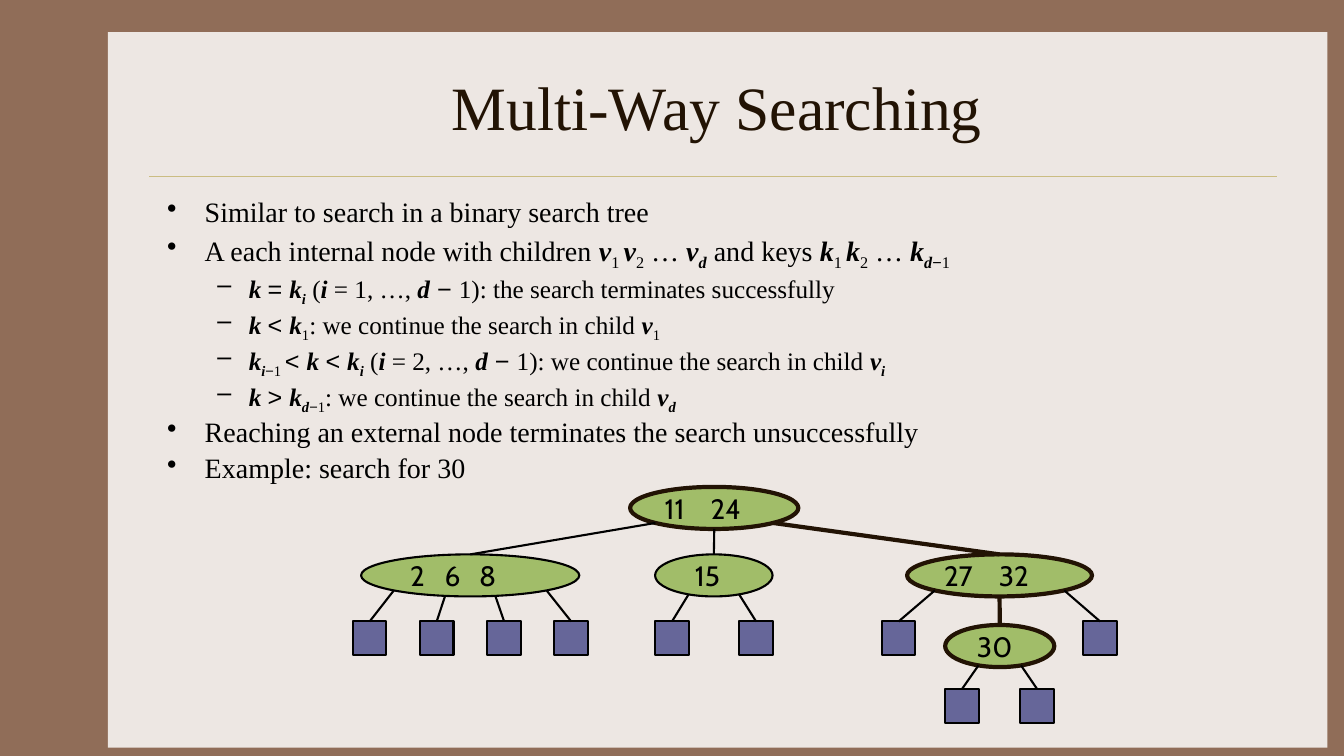
"""Build the slide on searching in a multi-way search tree."""
from math import sqrt

from lxml.etree import SubElement
from pptx import Presentation
from pptx.dml.color import RGBColor
from pptx.enum.shapes import MSO_CONNECTOR, MSO_SHAPE
from pptx.enum.text import MSO_ANCHOR, PP_ALIGN
from pptx.oxml.ns import qn
from pptx.util import Cm, Pt

BROWN = RGBColor(0x90, 0x6D, 0x58)
PAPER = RGBColor(0xED, 0xE7, 0xE3)
GOLD = RGBColor(0xCB, 0xBD, 0x83)
DARK = RGBColor(0x22, 0x13, 0x04)
BLACK = RGBColor(0, 0, 0)
GREEN = RGBColor(0xA1, 0xBD, 0x69)
VIOLET = RGBColor(0x66, 0x66, 0x99)
SERIF, SANS, NODE_FONT = "Times New Roman", "Arial", "Cabin"

TITLE = "Multi-Way Searching"

# Each span is (text, marks): v = bold italic variable, s = subscript, a = Arial.
BULLETS = [
    (0, [("Similar to search in a binary search tree", "")]),
    (0, [("A each internal node with children ", ""), ("v", "v"), ("1 ", "s"), ("v", "v"),
         ("2", "s"), (" … ", ""), ("v", "v"), ("d", "vs"), (" and keys ", ""), ("k", "v"),
         ("1 ", "s"), ("k", "v"), ("2", "s"), (" … ", ""), ("k", "v"), ("d", "vs"),
         ("−", "sa"), ("1", "s")]),
    (1, [("k ", "v"), ("= ", "a"), ("k", "v"), ("i", "vs"), (" (", ""), ("i", "v"),
         (" = 1, …, ", ""), ("d", "v"), (" − ", "a"),
         ("1): the search terminates successfully", "")]),
    (1, [("k ", "v"), ("< ", "a"), ("k", "v"), ("1", "s"),
         (": we continue the search in child ", ""), ("v", "v"), ("1", "s")]),
    (1, [("k", "v"), ("i", "vs"), ("−", "sa"), ("1 ", "s"), ("< ", "a"), ("k ", "v"),
         ("< ", "a"), ("k", "v"), ("i", "vs"), (" (", ""), ("i", "v"), (" = 2, …, ", ""),
         ("d", "v"), (" − ", "a"), ("1): we continue the search in child ", ""),
         ("v", "v"), ("i", "vs")]),
    (1, [("k ", "v"), ("> ", "a"), ("k", "v"), ("d", "vs"), ("−", "sa"), ("1", "s"),
         (": we continue the search in child ", ""), ("v", "v"), ("d", "vs")]),
    (0, [("Reaching an external node terminates the search unsuccessfully", "")]),
    (0, [("Example: search for 30", "")]),
]
LEVELS = [
    {"bullet": "•", "size": 20, "left": 0.95, "hang": 0.95},
    {"bullet": "–", "size": 18, "left": 2.06, "hang": 0.79},
]

NODE_HEIGHT, LEAF_SIZE = 1.06, 0.85
NODES = {
    "root": {"keys": ["11", "24"], "at": (15.88, 12.27), "width": 4.24,
             "inset": 0.25, "pitch": 1.16, "visited": True},
    "left": {"keys": ["2", "6", "8"], "at": (9.1, 13.97), "width": 5.5,
             "inset": 0.43, "pitch": 0.87, "visited": False},
    "middle": {"keys": ["15"], "at": (16.51, 13.97), "width": 2.96,
               "inset": 0.57, "pitch": 1, "visited": False},
    "right": {"keys": ["27", "32"], "at": (22.86, 13.97), "width": 4.66,
              "inset": 0.25, "pitch": 1.38, "visited": True},
    "found": {"keys": ["30"], "at": (23.82, 15.75), "width": 2.75,
              "inset": 0.4, "pitch": 1, "visited": True},
}
BRANCHES = [("root", "left", -0.7), ("root", "middle", 0), ("root", "right", 0.7),
            ("right", "found", 0)]
LEAVES = [
    ("left", 15.66, [(8.89, -0.7), (10.58, -0.23), (12.28, 0.23), (13.97, 0.7)]),
    ("middle", 15.66, [(16.51, -0.43), (18.63, 0.43)]),
    ("right", 15.66, [(22.22, -0.7), (27.3, 0.7)]),
    ("found", 17.36, [(23.82, -0.39), (25.71, 0.39)]),
]


def add_span(para, text, font, size, color):
    span = para.add_run()
    span.text = text
    span.font.name, span.font.size = font, Pt(size)
    span.font.color.rgb = color
    return span


def add_frame(page, left, top, width, height):
    frame = page.shapes.add_textbox(Cm(left), Cm(top), Cm(width), Cm(height)).text_frame
    frame.word_wrap = True
    return frame


def add_box(page, kind, left, top, width, height, fill, line=None, weight=0):
    box = page.shapes.add_shape(kind, Cm(left), Cm(top), Cm(width), Cm(height))
    box.shadow.inherit = False
    box.fill.solid()
    box.fill.fore_color.rgb = fill
    if line is None:
        box.line.fill.background()
    else:
        box.line.color.rgb, box.line.width = line, Pt(weight)
    return box


def add_line(page, start, end, color, weight):
    line = page.shapes.add_connector(MSO_CONNECTOR.STRAIGHT, *map(Cm, start + end))
    line.line.color.rgb, line.line.width = color, Pt(weight)
    SubElement(line._element.spPr, qn("a:effectLst"))


def add_bullets(page):
    frame = add_frame(page, 3.96, 4.88, 28.22, 11.43)
    for index, (level, spans) in enumerate(BULLETS):
        para = frame.add_paragraph() if index else frame.paragraphs[0]
        style = LEVELS[level]
        para.level, para.line_spacing = level, 0.9
        para.space_before = Pt(style["size"] * 0.2)
        props = para._p.get_or_add_pPr()
        props.set("marL", str(Cm(style["left"])))
        props.set("indent", str(-Cm(style["hang"])))
        SubElement(props, qn("a:buChar"), char=style["bullet"])
        for text, marks in spans:
            span = add_span(para, text, SANS if "a" in marks else SERIF, style["size"], BLACK)
            span.font.bold = span.font.italic = "v" in marks
            if "s" in marks:
                span.font._element.set("baseline", "-25000")


def pen(visited):
    return (DARK, 3) if visited else (BLACK, 1.5)


def add_node(page, node):
    box = add_box(page, MSO_SHAPE.OVAL, *node["at"], node["width"], NODE_HEIGHT,
                  GREEN, *pen(node["visited"]))
    frame = box.text_frame
    frame.word_wrap = True
    frame.vertical_anchor = MSO_ANCHOR.MIDDLE
    frame.margin_left, frame.margin_right = Cm(node["inset"]), Cm(0)
    para = frame.paragraphs[0]
    para.alignment = PP_ALIGN.LEFT
    stops = SubElement(para._p.get_or_add_pPr(), qn("a:tabLst"))
    for place in range(1, len(node["keys"])):
        SubElement(stops, qn("a:tab"), pos=str(Cm(node["pitch"] * place)), algn="l")
    add_span(para, "\t".join(node["keys"]), NODE_FONT, 20, BLACK)


def outline_point(node, offset):
    """Return the point on the lower edge at a share of the half width."""
    left, top = node["at"]
    x = left + node["width"] / 2 * (1 + offset)
    return x, top + NODE_HEIGHT / 2 * (1 + sqrt(1 - offset ** 2))


def add_tree(page):
    for node in NODES.values():
        add_node(page, node)
    for parent, child, offset in BRANCHES:
        node = NODES[child]
        left, top = node["at"]
        add_line(page, outline_point(NODES[parent], offset),
                 (left + node["width"] / 2, top), *pen(node["visited"]))
    for parent, top, places in LEAVES:
        for left, offset in places:
            add_box(page, MSO_SHAPE.RECTANGLE, left, top, LEAF_SIZE, LEAF_SIZE,
                    VIOLET, *pen(False))
            add_line(page, outline_point(NODES[parent], offset),
                     (left + LEAF_SIZE / 2, top), *pen(False))


def main():
    deck = Presentation()
    deck.slide_width, deck.slide_height = Cm(33.87), Cm(19.05)
    page = deck.slides.add_slide(deck.slide_layouts[6])
    page.background.fill.solid()
    page.background.fill.fore_color.rgb = BROWN
    add_box(page, MSO_SHAPE.RECTANGLE, 2.72, 0.81, 30.73, 18.03, PAPER)
    add_line(page, (3.76, 4.45), (32.18, 4.45), GOLD, 0.25)
    title = add_frame(page, 3.96, 1.07, 28.22, 3.18)
    title.vertical_anchor = MSO_ANCHOR.MIDDLE
    title.paragraphs[0].alignment = PP_ALIGN.CENTER
    add_span(title.paragraphs[0], TITLE, SERIF, 44, DARK)
    add_bullets(page)
    add_tree(page)
    deck.save("out.pptx")


if __name__ == "__main__":
    main()
